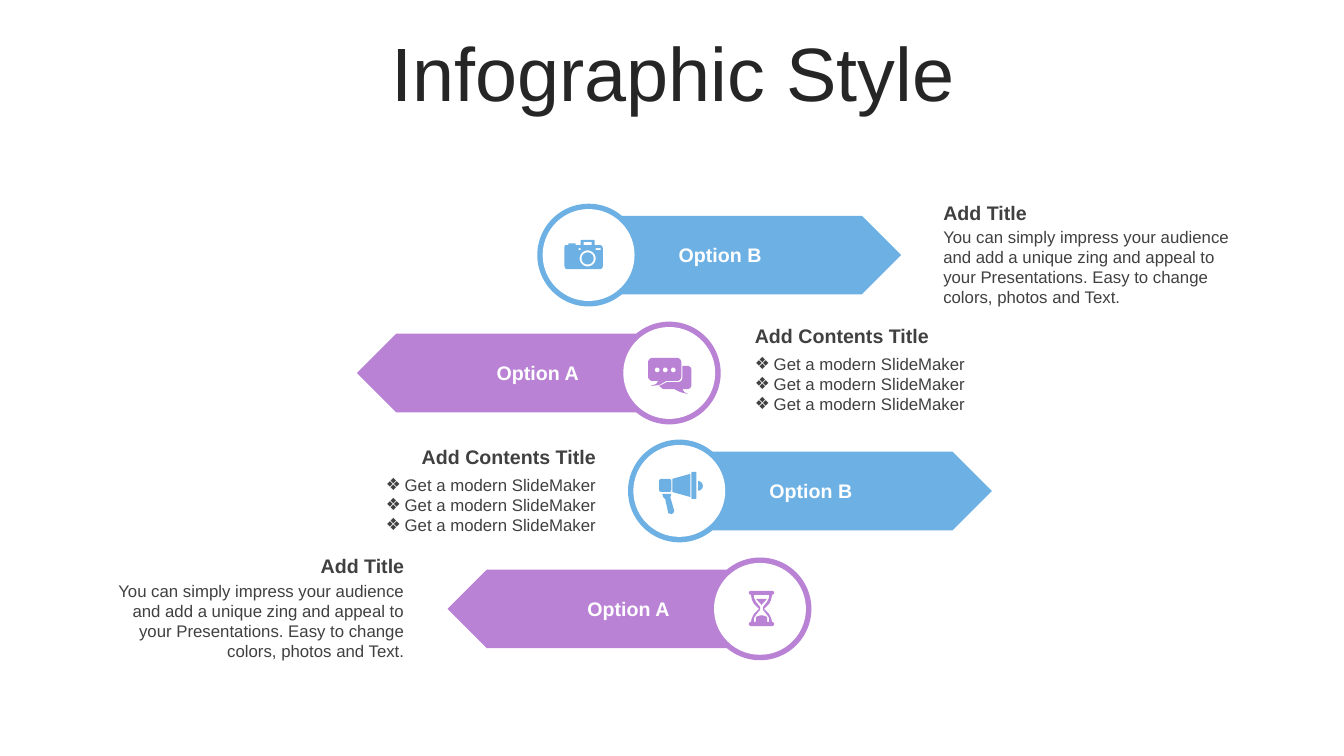
import math

from lxml import etree
from pptx import Presentation
from pptx.dml.color import RGBColor
from pptx.enum import shapes, text
from pptx.oxml import ns
from pptx.util import Pt

BLUE = RGBColor(0x6D, 0xB0, 0xE4)
PURPLE = RGBColor(0xB9, 0x82, 0xD5)
WHITE = RGBColor(0xFF, 0xFF, 0xFF)
INK = RGBColor(0x26, 0x26, 0x26)
GRAY = RGBColor(0x40, 0x40, 0x40)

LEFT, CENTER, RIGHT = text.PP_ALIGN.LEFT, text.PP_ALIGN.CENTER, text.PP_ALIGN.RIGHT
FIRST_ROW_Y, ROW_PITCH = 182.2, 84.24
ARROW_WIDTH, ARROW_HEIGHT = 223.2, 56.16
RING_SIZE, DISC_SIZE = 73.4, 65.6
LABEL_WIDTH, LABEL_HEIGHT, LABEL_GAP = 92.9, 24.5, 47.5
HEADING_HEIGHT = 24.5
ICON_UNIT = 0.72
HOURGLASS_WIDTH = 3

PITCH_TEXT = ("You can simply impress your audience and add a unique zing and appeal "
              "to your Presentations. Easy to change colors, photos and Text.")
FEATURES = ["Get a modern SlideMaker"] * 3


def arc(x, y, radius, start=0, sweep=360, steps=24):
    """Points along a circle, with angles in degrees."""
    angles = [math.radians(start + sweep * i / steps) for i in range(steps + 1)]
    return [(x + radius * math.cos(a), y + radius * math.sin(a)) for a in angles]


def box(left, top, right, bottom, radius=0):
    """Outline of a rectangle with optional rounded corners."""
    if not radius:
        return [(left, top), (right, top), (right, bottom), (left, bottom)]
    corners = [(left + radius, top + radius, 180), (right - radius, top + radius, 270),
               (right - radius, bottom - radius, 0), (left + radius, bottom - radius, 90)]
    return [point for x, y, start in corners
            for point in arc(x, y, radius, start, 90, 6)]


def mirrored(left_side):
    """Close an hourglass outline by reflecting its left side."""
    return left_side + [(HOURGLASS_WIDTH - x, y) for x, y in reversed(left_side)]


# Icon outlines are measured from the centre of their circle, in ICON_UNITs.
CAMERA = [
    arc(-22, -8, 2, 180, 90, 6)
    + [(-20, -10), (-20, -11.5), (-13, -11.5), (-13, -10), (-8, -10)]
    + arc(-7, -14, 1, 180, 90, 6) + arc(5, -14, 1, 270, 90, 6) + [(6, -10)]
    + arc(11, -7, 3, 270, 90, 6) + arc(11, 11, 3, 0, 90, 6) + arc(-21, 11, 3, 90, 90, 6),
    box(-5, -13, 3, -10), box(-10, -7, -8, -5), box(7, -7, 12, -5),
    arc(-1, 3.3, 8), arc(-1, 3.3, 6),
]
CHAT = [
    box(-21, -15, 12, 8, 4.5),
    [(-3, 8), (-10, 12), (-19, 13), (-13, 11), (-11, 8)],
    [(13, -7)] + arc(18, -3, 4, 270, 90, 6) + arc(18, 12, 4, 0, 90, 6)
    + [(13, 16), (15, 19), (19, 21), (11, 19), (5, 16), (-6, 16), (-10, 13),
       (-2, 9), (9, 9)] + arc(9, 5, 4, 90, -90, 6),
    *[arc(x, -3, 2.4) for x in (-12, -4, 4)],
]
MEGAPHONE = [
    [(-9, 3), (-8, 4), (-9, 6), (-5, 20), (-6, 22), (-8, 23), (-11, 22),
     (-14, 8), (-16, 6), (-17, 3)],
    arc(18.5, -5, 4.8, -90, 180, 12),
    box(-20, -12, -8, 1, 2),
    [(11, -17), (11, 6), (-7, 1), (-7, -12)],
    box(12, -19, 17, 8, 1),
]
HOURGLASS = [
    box(-11, -18, 14, -14, 2), box(-11, 13, 14, 17, 2),
    mirrored([(-9, -14), (-8, -9), (-6, -5), (-1, 0), (-6, 5), (-8, 9), (-9, 13)]),
    mirrored([(-6, -14), (-6, -11), (-4, -7), (0, -2), (0, 1), (-4, 6), (-6, 9), (-6, 13)]),
    [(-4, -10), (7, -10), (1.5, -4)],
    [(-4, 13), (-4, 8), (0, 6.5), (3, 6.5), (7, 8), (7, 13)],
]

# circle centre x, points right, colour, label, icon
OPTIONS = [
    (420.48, True, BLUE, "Option B", CAMERA),
    (478.08, False, PURPLE, "Option A", CHAT),
    (485.28, True, BLUE, "Option B", MEGAPHONE),
    (542.88, False, PURPLE, "Option A", HOURGLASS),
]


def paint(shape, color):
    shape.fill.solid()
    shape.fill.fore_color.rgb = color
    shape.line.fill.background()
    shape.shadow.inherit = False


def add_text(slide, lines, left, top, width, height, *, size=12, color=GRAY, bold=False,
             align=LEFT, bullet=None, anchor=text.MSO_ANCHOR.TOP, spacing=None):
    frame = slide.shapes.add_textbox(Pt(left), Pt(top), Pt(width), Pt(height)).text_frame
    frame.word_wrap = True
    frame.vertical_anchor = anchor
    for i, line in enumerate(lines):
        paragraph = frame.add_paragraph() if i else frame.paragraphs[0]
        paragraph.alignment = align
        if spacing:
            paragraph.line_spacing = spacing
        if bullet:
            add_bullet(paragraph, bullet)
        run = paragraph.add_run()
        run.text = line
        run.font.name = "Arial"
        run.font.size = Pt(size)
        run.font.bold = bold
        run.font.color.rgb = color


def add_bullet(paragraph, mark, indent=13.5):
    properties = paragraph._p.get_or_add_pPr()
    properties.set("marL", str(Pt(indent)))
    properties.set("indent", str(-Pt(indent)))
    etree.SubElement(properties, ns.qn("a:buFont")).set("typeface", "Arial")
    etree.SubElement(properties, ns.qn("a:buChar")).set("char", mark)


def add_circle(slide, x, y, size, color):
    circle = slide.shapes.add_shape(shapes.MSO_SHAPE.OVAL, Pt(x - size / 2),
                                    Pt(y - size / 2), Pt(size), Pt(size))
    paint(circle, color)


def add_icon(slide, outlines, x, y, color):
    """Draw all outlines as one freeform, where inner outlines become holes."""
    placed = [[(Pt(x + ICON_UNIT * px), Pt(y + ICON_UNIT * py)) for px, py in outline]
              for outline in outlines]
    builder = slide.shapes.build_freeform(*placed[0][0])
    builder.add_line_segments(placed[0][1:])
    for outline in placed[1:]:
        builder.move_to(*outline[0])
        builder.add_line_segments(outline[1:])
    paint(builder.convert_to_shape(), color)


def add_option(slide, x, y, points_right, color, label, icon):
    arrow = slide.shapes.add_shape(
        shapes.MSO_SHAPE.PENTAGON, Pt(x if points_right else x - ARROW_WIDTH),
        Pt(y - ARROW_HEIGHT / 2), Pt(ARROW_WIDTH), Pt(ARROW_HEIGHT))
    arrow.rotation = 0 if points_right else 180
    paint(arrow, color)
    add_circle(slide, x, y, RING_SIZE, color)
    add_circle(slide, x, y, DISC_SIZE, WHITE)
    add_icon(slide, icon, x, y, color)
    label_left = x + LABEL_GAP if points_right else x - LABEL_GAP - LABEL_WIDTH
    add_text(slide, [label], label_left, y - LABEL_HEIGHT / 2, LABEL_WIDTH, LABEL_HEIGHT,
             size=14, bold=True, color=WHITE, align=CENTER)


def add_description(slide, left, top, align):
    add_text(slide, ["Add Title"], left, top, 223.2, HEADING_HEIGHT,
             size=14, bold=True, align=align)
    add_text(slide, [PITCH_TEXT], left, top + 18.7, 223.2, 65.5, align=align)


def add_feature_list(slide, left, top, align):
    add_text(slide, ["Add Contents Title"], left, top, 178.6, HEADING_HEIGHT,
             size=14, bold=True, align=align)
    add_text(slide, FEATURES, left, top + 20.9, 178.6, 51.1, align=align, bullet="❖")


def main():
    deck = Presentation()
    deck.slide_width, deck.slide_height = Pt(960), Pt(540)
    slide = deck.slides.add_slide(deck.slide_layouts[6])
    add_text(slide, ["Infographic Style"], 25.2, 26.6, 911.5, 56.9, size=54, color=INK,
             align=CENTER, anchor=text.MSO_ANCHOR.MIDDLE, spacing=0.9)
    for row, (x, *option) in enumerate(OPTIONS):
        add_option(slide, x, FIRST_ROW_Y + row * ROW_PITCH, *option)
    add_description(slide, 666.7, 139.7, LEFT)
    add_feature_list(slide, 532.1, 228.2, LEFT)
    add_feature_list(slide, 254.2, 314.6, RIGHT)
    add_description(slide, 72.7, 392.4, RIGHT)
    deck.save("out.pptx")


if __name__ == "__main__":
    main()
